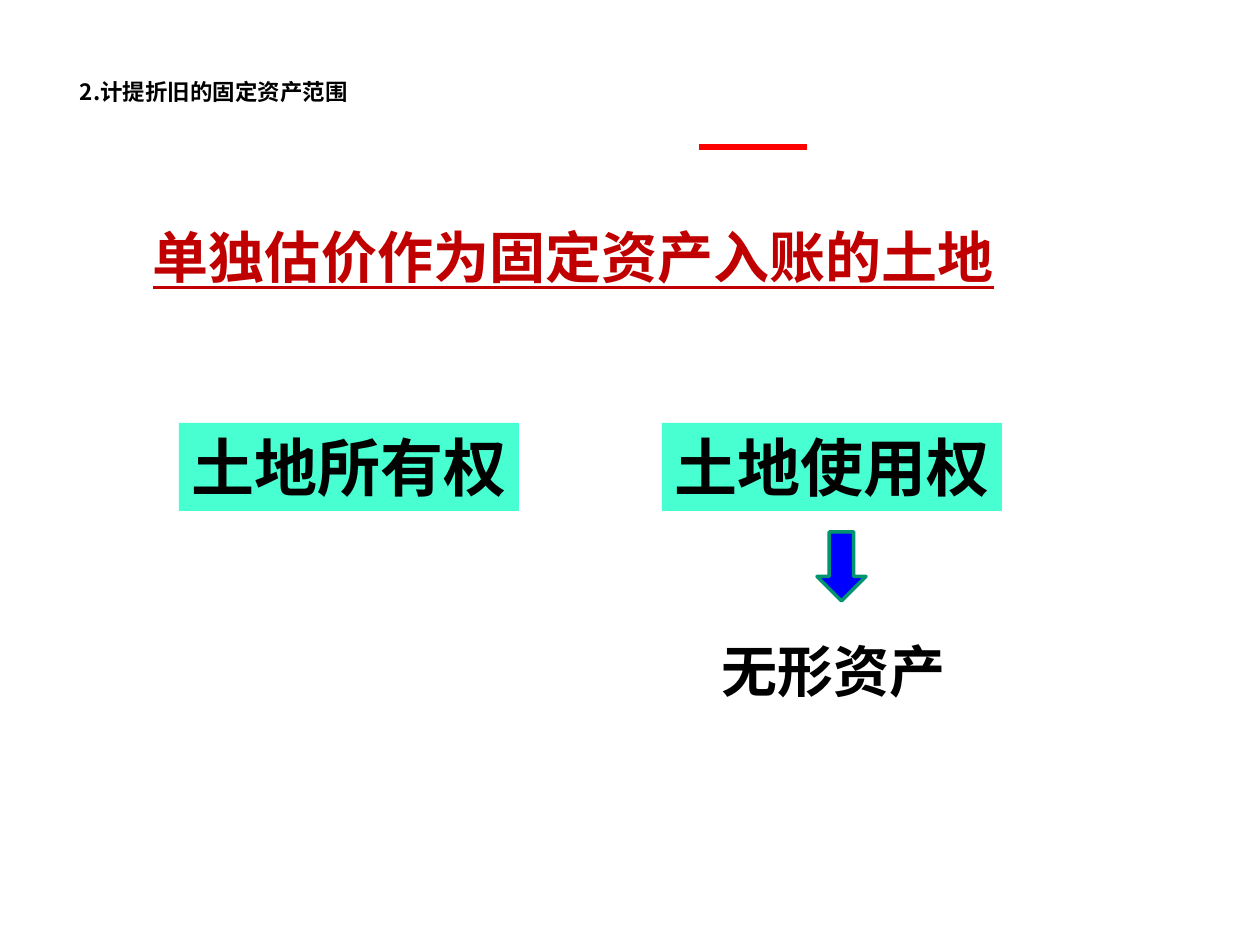
from dataclasses import dataclass

from lxml import etree
from pptx import Presentation
from pptx.dml.color import RGBColor
from pptx.enum.shapes import MSO_CONNECTOR, MSO_SHAPE
from pptx.enum.text import MSO_ANCHOR, MSO_AUTO_SIZE, PP_ALIGN
from pptx.oxml.ns import qn
from pptx.util import Pt

LINE = MSO_CONNECTOR.STRAIGHT
RECT, ARROW = MSO_SHAPE.RECTANGLE, MSO_SHAPE.DOWN_ARROW
TOP, LEFT = MSO_ANCHOR.TOP, PP_ALIGN.LEFT
FIXED = MSO_AUTO_SIZE.NONE
SCALE = 914400 / 126


@dataclass
class Theme:
    ink: str = "000000"
    red: str = "C00000"
    rule: str = "FF0000"
    mint: str = "47FFD1"
    blue: str = "0000FF"
    edge: str = "00956F"
    sans: str = "Noto Sans CJK SC"
    serif: str = "Times New Roman"
    small: float = 12.8
    large: int = 32
    label: int = 36


theme = Theme()


def px(*vals):
    return [round(val * SCALE) for val in vals]


def write(shape, text, size, face, color=theme.ink, pad=(13, 6)):
    """Fill a shape with one bold line, with pad as its side and top insets."""
    frame = shape.text_frame
    frame.text = text
    frame.word_wrap = False
    frame.auto_size = FIXED
    frame.vertical_anchor = TOP
    frame.margin_left, frame.margin_top = px(*pad)
    frame.margin_right, frame.margin_bottom = px(*pad)
    line = frame.paragraphs[0]
    line.alignment = LEFT
    font = line.runs[0].font
    font.name, font.size, font.bold = face, Pt(size), True
    font.color.rgb = RGBColor.from_string(color)
    east = etree.Element(qn("a:ea"), typeface=theme.sans)
    line.runs[0]._r.rPr.find(qn("a:latin")).addnext(east)
    return line


deck = Presentation()
deck.slide_width, deck.slide_height = px(1260, 945)
slide = deck.slides.add_slide(deck.slide_layouts[5])
shapes = slide.shapes

# Section title and red rule
title = shapes.title
title.left, title.top, title.width, title.height = px(59, 79, 1150, 120)
head = write(title, "2.计提折旧的固定资产范围", theme.small, theme.sans, pad=(21, 4))
head.line_spacing = 0.8
title.text_frame.word_wrap = True

rule = shapes.add_connector(LINE, *px(699, 147, 807, 147))
rule.line.color.rgb = RGBColor.from_string(theme.rule)
rule.line.width = Pt(3)
etree.SubElement(rule._element.spPr, qn("a:effectLst"))

# Headline
box = shapes.add_textbox(*px(140, 217, 866, 81))
line = write(box, "单独估价作为固定资产入账的土地", theme.large, theme.serif, theme.red)
line.runs[0].font.underline = True

# Two kinds of land right
for left, text in ((179, "土地所有权"), (662, "土地使用权")):
    card = shapes.add_shape(RECT, *px(left, 423, 340, 88))
    card.shadow.inherit = False
    card.fill.solid()
    card.fill.fore_color.rgb = RGBColor.from_string(theme.mint)
    card.line.fill.background()
    write(card, text, theme.label, theme.serif)

# Where the right of use leads
box = shapes.add_textbox(*px(709, 630, 249, 81))
write(box, "无形资产", theme.large, theme.sans)

arrow = shapes.add_shape(ARROW, *px(817, 532, 49, 69))
arrow.shadow.inherit = False
arrow.fill.solid()
arrow.fill.fore_color.rgb = RGBColor.from_string(theme.blue)
arrow.line.color.rgb = RGBColor.from_string(theme.edge)
arrow.line.width = Pt(2)

deck.save("out.pptx")
